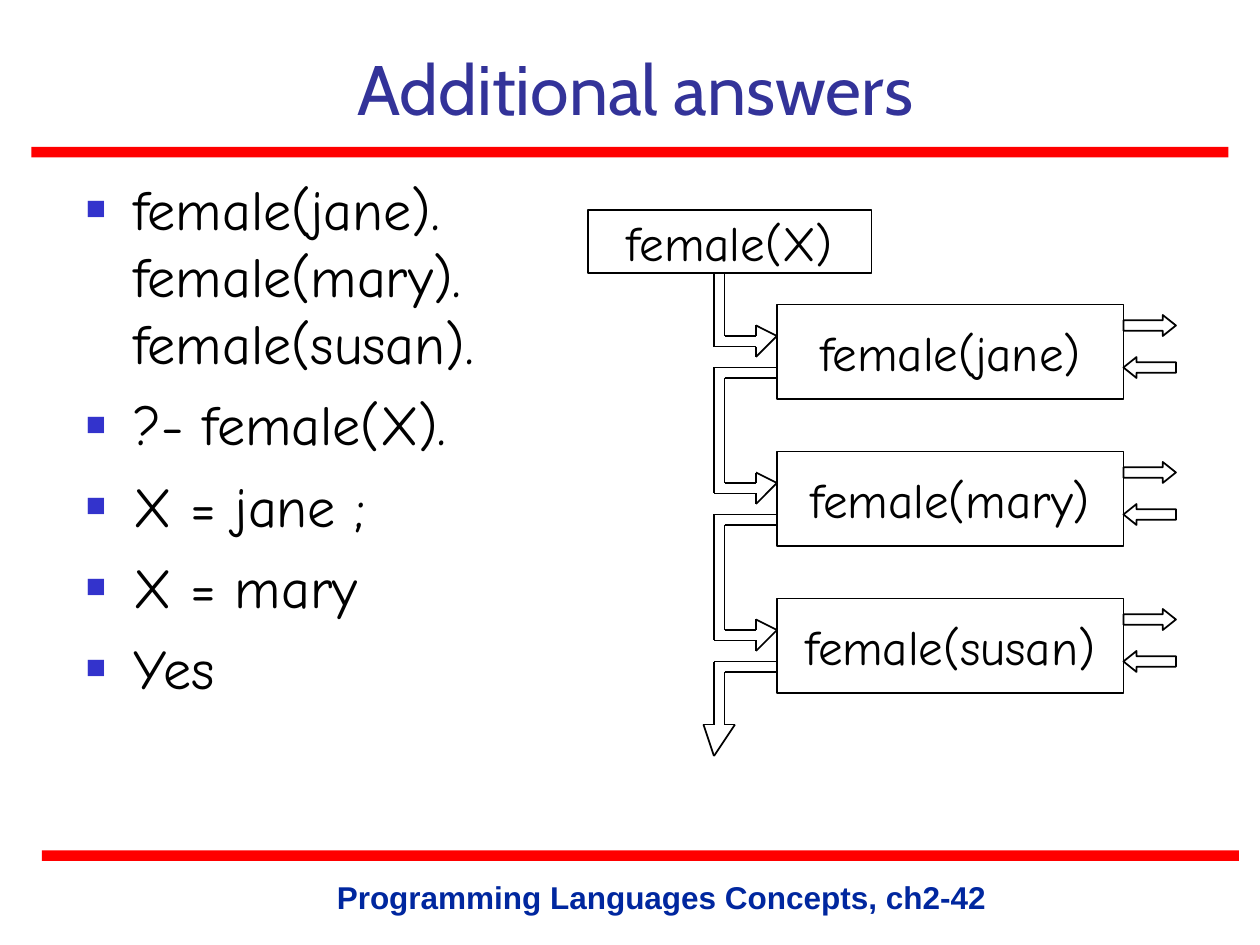
from collections import namedtuple
from itertools import pairwise

from lxml.etree import SubElement
from pptx import Presentation
from pptx.dml.color import RGBColor
from pptx.enum.shapes import MSO_CONNECTOR as Connector, MSO_SHAPE as Shape
from pptx.enum.text import MSO_ANCHOR as Anchor, MSO_AUTO_SIZE as AutoSize, PP_ALIGN as Align
from pptx.oxml.ns import qn
from pptx.util import Cm, Pt

COLORS = {"rule": "FF0000", "footer": "00279F", "title": "333399",
          "bullet": "3333CC", "ink": "000000"}
HAND_FONT = "Comic Neue"
UNIT = Cm(2.54) // 12  # the layout grid: twelve steps to the inch
Box = namedtuple("Box", "left top width height")


def color(name):
    """Return a named colour."""
    return RGBColor.from_string(COLORS[name])


def emu(values):
    """Turn grid steps into slide lengths."""
    return [round(value * UNIT) for value in values]


def inside(box, left, top, width, height):
    """Return a box placed relative to the corner of another."""
    return Box(box.left + left, box.top + top, width, height)


def style(para, size, name, ink, bold=False, align=Align.CENTER):
    """Set the font and alignment of a paragraph."""
    para.alignment = align
    para.font.size, para.font.name, para.font.bold = Pt(size), name, bold
    para.font.color.rgb = color(ink)


def draw_thin(line):
    """Give a line the thin dark stroke of the diagram."""
    line.color.rgb = color("ink")
    line.width = Pt(0.99)


def outline(shape):
    """Leave a shape unfilled with a thin dark line."""
    shape.shadow.inherit = False
    shape.fill.background()
    draw_thin(shape.line)


def add_rule(page, box):
    """Draw a solid red bar."""
    bar = page.shapes.add_shape(Shape.RECTANGLE, *emu(box))
    bar.shadow.inherit = False
    bar.fill.solid()
    bar.fill.fore_color.rgb = color("rule")
    bar.line.fill.background()


def add_footer(page, box, text):
    """Write the centred footer line."""
    frame = page.shapes.add_textbox(*emu(box)).text_frame
    frame.word_wrap = True
    para = frame.paragraphs[0]
    para.text = text
    para.space_before = Pt(11.2)
    style(para, 18, "Arial", "footer", bold=True)


def add_title(page, box, text):
    """Place and format the title placeholder."""
    title = page.shapes.title
    title.left, title.top, title.width, title.height = emu(box)
    frame = title.text_frame
    frame.text = text
    frame.auto_size = AutoSize.NONE
    frame.vertical_anchor = Anchor.BOTTOM
    style(frame.paragraphs[0], 40, "Cabin", "title")


def add_bullet(para):
    """Give a paragraph a hanging square bullet."""
    props = para._p.get_or_add_pPr()
    indent, = emu([4.5])
    props.set("marL", str(indent))
    props.set("indent", str(-indent))
    tint = SubElement(props, qn("a:buClr"))
    SubElement(tint, qn("a:srgbClr"), val=COLORS["bullet"])
    SubElement(props, qn("a:buSzPct"), val="60000")
    SubElement(props, qn("a:buFont"), typeface="Arial")
    SubElement(props, qn("a:buChar"), char="■")


def add_bullets(page, box, items):
    """Write the bulleted session on the left."""
    frame = page.shapes.add_textbox(*emu(box)).text_frame
    frame.word_wrap = True
    for index, item in enumerate(items):
        para = frame.add_paragraph() if index else frame.paragraphs[0]
        para.text = item
        para.space_before = Pt(8)
        add_bullet(para)
        style(para, 32, HAND_FONT, "ink", align=Align.LEFT)


def add_goal(page, box, text):
    """Draw one labelled goal box."""
    goal = page.shapes.add_shape(Shape.FLOWCHART_PROCESS, *emu(box))
    outline(goal)
    frame = goal.text_frame
    frame.word_wrap = False
    frame.vertical_anchor = Anchor.MIDDLE
    frame.text = text
    style(frame.paragraphs[0], 28, HAND_FONT, "ink")


def add_ports(page, box):
    """Draw the exit and redo arrows right of a goal box."""
    for kind, top in ((Shape.RIGHT_ARROW, 1), (Shape.LEFT_ARROW, 5)):
        port = page.shapes.add_shape(kind, *emu(inside(box, box.width, top, 5, 2)))
        port.adjustments[1] = 0.625
        outline(port)


def add_path(page, box, points):
    """Join points, given relative to a box corner, with straight lines."""
    corners = [emu((box.left + x, box.top + y)) for x, y in points]
    for start, end in pairwise(corners):
        side = page.shapes.add_connector(Connector.STRAIGHT, *start, *end)
        draw_thin(side.line)
        SubElement(side._element.spPr, qn("a:effectLst"))


def add_search(page, box, query, facts):
    """Draw the query, its chain of goals and the arrows between them."""
    step = 14
    goals = [inside(box, 18, 9 + step * index, 33, 9) for index in range(len(facts))]
    add_goal(page, inside(box, 0, 0, 27, 6), query)
    for goal, fact in zip(goals, facts):
        add_goal(page, goal, fact)
        add_ports(page, goal)

    # Points are relative to the goal that an arrow enters.
    head = [(-6, 4), (-2, 4), (-2, 5), (0, 3), (-2, 2), (-2, 3), (-5, 3)]
    add_path(page, goals[0], [(-6, -3), *head, (-5, -3)])
    fail = 6 - step
    for goal in goals[1:]:
        add_path(page, goal, [(0, fail), (-6, fail), *head, (-5, fail + 1), (0, fail + 1)])
    add_path(page, goals[-1], [(0, 6), (-6, 6), (-6, 12), (-7, 12), (-6, 15),
                               (-4, 12), (-5, 12), (-5, 7), (0, 7)])


def build_slide(deck):
    """Lay out the whole slide."""
    page = deck.slides.add_slide(deck.slide_layouts[5])
    add_rule(page, Box(3, 14, 114, 1))
    add_rule(page, Box(4, 81, 114, 1))
    add_footer(page, Box(26, 83, 74, 4.8), "Programming Languages Concepts, ch2-42")
    add_title(page, Box(15, 3, 91, 9.9), "Additional answers")
    add_bullets(page, Box(7, 16, 109, 64.4), [
        "female(jane).\vfemale(mary).\vfemale(susan).",
        "?- female(X).", "X = jane ;", "X = mary", "Yes"])
    add_search(page, Box(56, 20, 56, 52), "female(X)",
               ["female(jane)", "female(mary)", "female(susan)"])


deck = Presentation()
deck.slide_width, deck.slide_height = Cm(25.4), Cm(19.05)
build_slide(deck)
deck.save("out.pptx")
